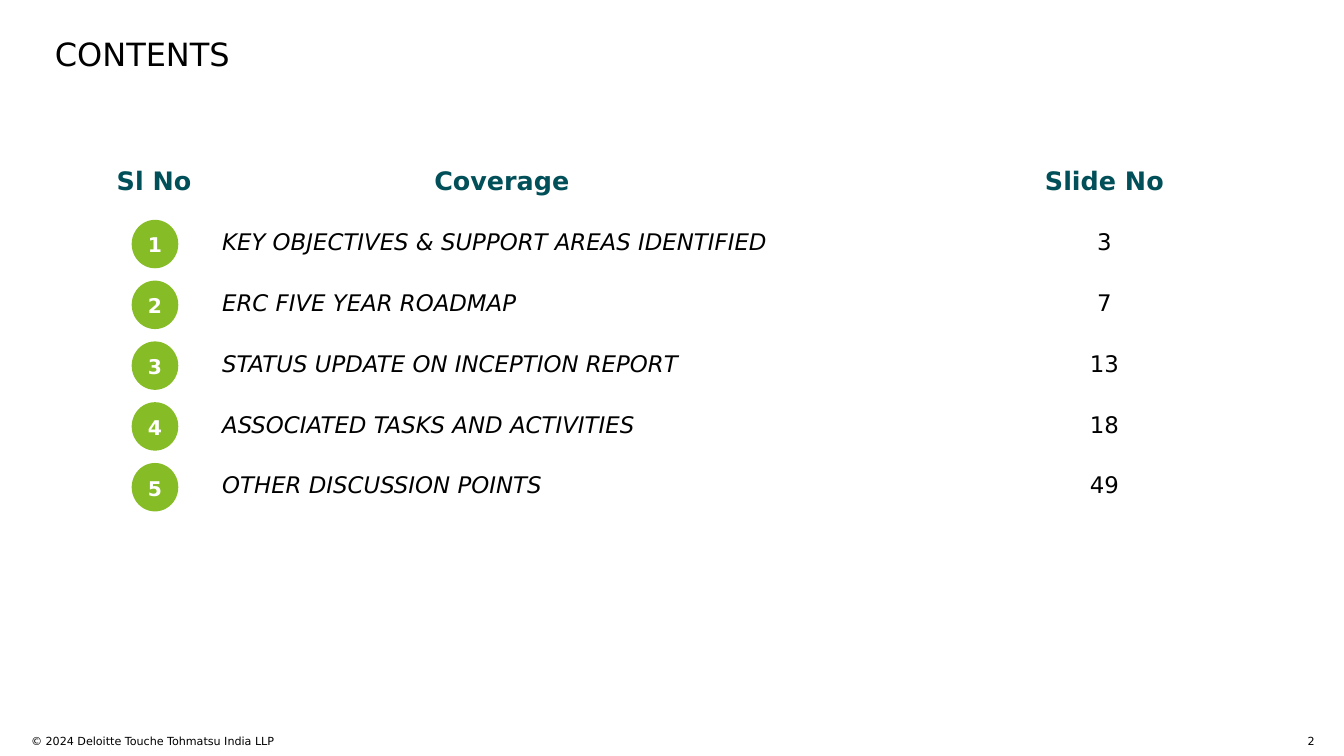
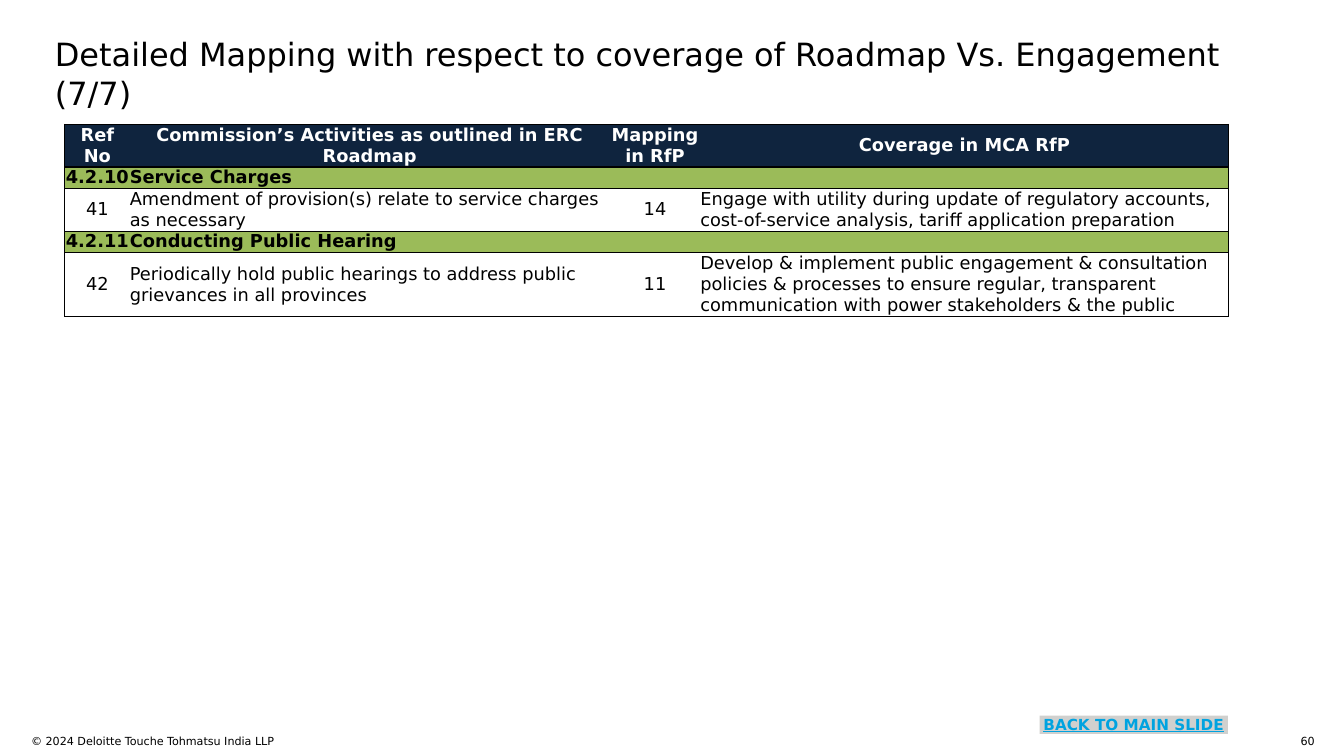
from dataclasses import dataclass
from typing import Optional

from lxml.etree import SubElement
from pptx import Presentation
from pptx.dml.color import RGBColor
from pptx.enum.shapes import MSO_SHAPE
from pptx.enum.text import MSO_ANCHOR, MSO_AUTO_SIZE, PP_ALIGN
from pptx.oxml.ns import qn
from pptx.util import Inches, Pt


@dataclass(frozen=True)
class Theme:
    font: str = "DejaVu Sans"
    black: str = "000000"
    white: str = "FFFFFF"
    teal: str = "004F59"
    green: str = "86BC25"
    olive: str = "9BBB59"
    navy: str = "0F243E"
    grey: str = "D0D0CE"
    blue: str = "00A3E0"
    title: float = 25.2
    head: float = 20
    list: float = 18
    badge: float = 16
    table: float = 14
    link: float = 12
    foot: float = 8.8


@dataclass(frozen=True)
class Box:
    left: float
    top: float
    width: float
    height: float

    def place(self) -> tuple:
        return tuple(Inches(v) for v in (self.left, self.top, self.width, self.height))


@dataclass(frozen=True)
class Style:
    size: float
    color: str
    bold: bool = False
    italic: bool = False
    under: bool = False
    align: PP_ALIGN = PP_ALIGN.LEFT


@dataclass(frozen=True)
class Topic:
    name: str
    page: str


@dataclass(frozen=True)
class Row:
    cells: tuple
    lines: int
    kind: str = "item"


THEME = Theme()
WIDTH, HEIGHT = 14.7, 8.27
TITLE = Box(0.6, 0.38, 13.46, 0.4)
NOTICE = Box(0.34, 8.03, 6.46, 0.24)
NUMBER = Box(14.01, 8.03, 0.37, 0.12)
PLAIN_GRID = "{2D5ABB26-0587-4C30-8999-92F81FD0307C}"  # table style without lines

TOPICS = (
    Topic("KEY OBJECTIVES & SUPPORT AREAS IDENTIFIED", "3"),
    Topic("ERC FIVE YEAR ROADMAP", "7"),
    Topic("STATUS UPDATE ON INCEPTION REPORT", "13"),
    Topic("ASSOCIATED TASKS AND ACTIVITIES", "18"),
    Topic("OTHER DISCUSSION POINTS", "49"),
)
ROWS = (
    Row(("Ref No", "Commission’s Activities as outlined in ERC Roadmap",
         "Mapping in RfP", "Coverage in MCA RfP"), 2, "head"),
    Row(("4.2.10", "Service Charges", "", ""), 1, "group"),
    Row(("41", "Amendment of provision(s) relate to service charges as necessary", "14",
         "Engage with utility during update of regulatory accounts, cost-of-service analysis, "
         "tariff application preparation"), 2),
    Row(("4.2.11", "Conducting Public Hearing", "", ""), 1, "group"),
    Row(("42", "Periodically hold public hearings to address public grievances in all provinces",
         "11", "Develop & implement public engagement & consultation policies & processes to "
         "ensure regular, transparent communication with power stakeholders & the public"), 3),
)


# Text and shape helpers
def write(frame, text: str, style: Style) -> None:
    frame.text = text
    para = frame.paragraphs[0]
    para.alignment = style.align
    for run in para.runs:
        font = run.font
        font.name, font.size = THEME.font, Pt(style.size)
        font.bold, font.italic, font.underline = style.bold, style.italic, style.under
        font.color.rgb = RGBColor.from_string(style.color)
    if not text:  # keeps an empty cell as low as its row
        SubElement(para._p, qn("a:endParaRPr")).set("sz", str(int(style.size * 100)))


def inset(item, gap: float) -> None:
    item.margin_left = item.margin_right = Inches(gap)
    item.margin_top = item.margin_bottom = Inches(gap)


def add_label(slide, box: Box, text: str, style: Style) -> None:
    frame = slide.shapes.add_textbox(*box.place()).text_frame
    frame.word_wrap = True
    inset(frame, 0)
    write(frame, text, style)


def add_block(slide, kind: MSO_SHAPE, box: Box, fill: str, text: str, style: Style,
              gap: float):
    shape = slide.shapes.add_shape(kind, *box.place())
    shape.shadow.inherit = False
    shape.fill.solid()
    shape.fill.fore_color.rgb = RGBColor.from_string(fill)
    shape.line.fill.background()
    frame = shape.text_frame
    frame.vertical_anchor = MSO_ANCHOR.MIDDLE
    inset(frame, gap)
    write(frame, text, style)
    return shape


# Table helpers
def add_grid(slide, left: float, top: float, cols: tuple, rows: list):
    box = Box(left, top, sum(cols), sum(rows))
    table = slide.shapes.add_table(len(rows), len(cols), *box.place()).table
    table.first_row = table.horz_banding = False
    table._tbl.tblPr.find(qn("a:tableStyleId")).text = PLAIN_GRID
    for col, width in zip(table.columns, cols):
        col.width = Inches(width)
    for row, height in zip(table.rows, rows):
        row.height = Inches(height)
    return table


def fill_cell(cell, text: str, style: Style, fill: Optional[str] = None) -> None:
    cell.vertical_anchor = MSO_ANCHOR.MIDDLE
    if fill:
        cell.fill.solid()
        cell.fill.fore_color.rgb = RGBColor.from_string(fill)
    else:
        cell.fill.background()
    write(cell.text_frame, text, style)


def add_edges(cell, sides: str) -> None:
    props = cell._tc.get_or_add_tcPr()
    for side in sides:
        line = SubElement(props, qn(f"a:ln{side}"), w=str(Pt(1)))
        paint = SubElement(line, qn("a:solidFill"))
        SubElement(paint, qn("a:srgbClr"), val=THEME.black)


# Title and footer of every slide
def add_slide(deck, title: str, number: str):
    slide = deck.slides.add_slide(deck.slide_layouts[5])
    head = slide.shapes.title
    head.left, head.top, head.width, head.height = TITLE.place()
    frame = head.text_frame
    frame.word_wrap, frame.auto_size = True, MSO_AUTO_SIZE.NONE
    frame.vertical_anchor = MSO_ANCHOR.TOP
    inset(frame, 0)
    write(frame, title, Style(THEME.title, THEME.black))
    add_label(slide, NOTICE, "© 2024 Deloitte Touche Tohmatsu India LLP",
              Style(THEME.foot, THEME.black))
    add_label(slide, NUMBER, number, Style(THEME.foot, THEME.black, align=PP_ALIGN.RIGHT))
    return slide


def add_contents(deck) -> None:
    slide = add_slide(deck, "CONTENTS", "2")
    left, top, cols = 1.04, 1.66, (1.29, 7.89, 3.72)
    count = len(TOPICS) + 1
    pitch = 3.99 / count
    table = add_grid(slide, left, top, cols, [pitch] * count)

    # Heading row
    for col, text in enumerate(("Sl No", "Coverage", "Slide No")):
        align = PP_ALIGN.LEFT if col == 1 else PP_ALIGN.CENTER
        fill_cell(table.cell(0, col), text,
                  Style(THEME.head, THEME.teal, bold=True, align=align), THEME.white)
    table.cell(0, 1).margin_left = Inches(2.42)

    # Topics with numbered badges
    name = Style(THEME.list, THEME.black, italic=True)
    page = Style(THEME.list, THEME.black, align=PP_ALIGN.CENTER)
    mark = Style(THEME.badge, THEME.white, bold=True, align=PP_ALIGN.CENTER)
    for row, topic in enumerate(TOPICS, 1):
        fill_cell(table.cell(row, 0), "", page, THEME.white)
        fill_cell(table.cell(row, 1), topic.name, name, THEME.white)
        fill_cell(table.cell(row, 2), topic.page, page, THEME.white)
        box = Box(1.44, top + row * pitch + 0.08, 0.51, 0.53)
        badge = add_block(slide, MSO_SHAPE.OVAL, box, THEME.green, str(row), mark, 0.1)
        badge.text_frame.paragraphs[0].line_spacing = 1.06


def add_mapping(deck) -> None:
    slide = add_slide(
        deck, "Detailed Mapping with respect to coverage of Roadmap Vs. Engagement (7/7)", "60")
    cols = (0.71, 5.25, 0.99, 5.78)
    table = add_grid(slide, 0.71, 1.36, cols, [0.19 * row.lines for row in ROWS])
    fills = {"head": THEME.navy, "group": THEME.olive, "item": None}
    last = len(ROWS) - 1
    for r, row in enumerate(ROWS):
        # No line between an item and the group that follows it
        above = r == 0 or ROWS[r - 1].kind != "item"
        below = r == last or row.kind != "item"
        for c, text in enumerate(row.cells):
            cell = table.cell(r, c)
            inset(cell, 0)
            add_edges(cell, "L" * (c == 0) + "R" * (c == len(cols) - 1)
                      + "T" * above + "B" * below)
            middle = row.kind == "head" or c in (0, 2)
            style = Style(THEME.table, THEME.white if row.kind == "head" else THEME.black,
                          bold=row.kind != "item",
                          align=PP_ALIGN.CENTER if middle else PP_ALIGN.LEFT)
            fill_cell(cell, text, style, fills[row.kind])

    # Return button
    add_block(slide, MSO_SHAPE.RECTANGLE, Box(11.37, 7.83, 2.06, 0.2), THEME.grey,
              "BACK TO MAIN SLIDE",
              Style(THEME.link, THEME.blue, bold=True, under=True, align=PP_ALIGN.CENTER), 0)


def main() -> None:
    deck = Presentation()
    deck.slide_width, deck.slide_height = Inches(WIDTH), Inches(HEIGHT)
    add_contents(deck)
    add_mapping(deck)
    deck.save("out.pptx")


if __name__ == "__main__":
    main()
